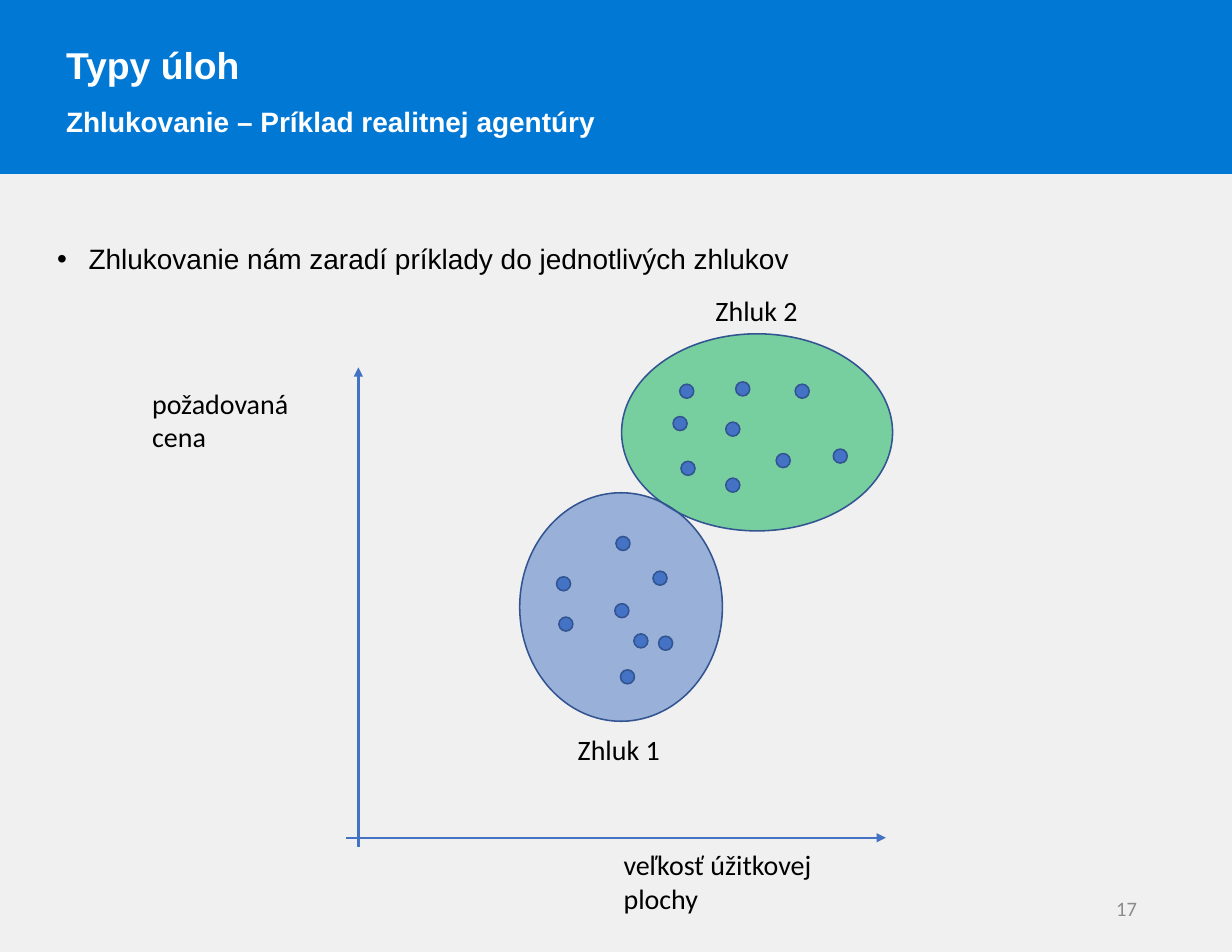
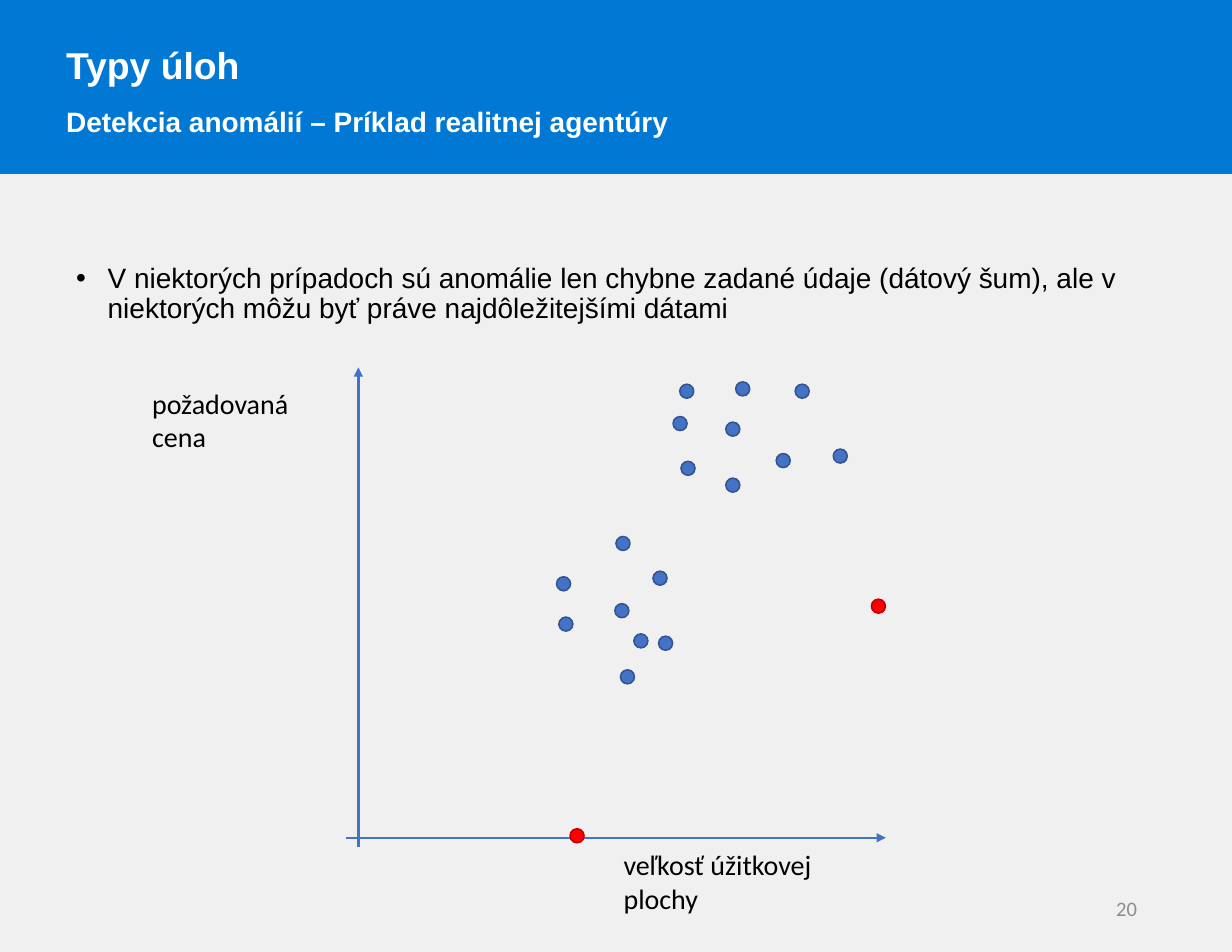
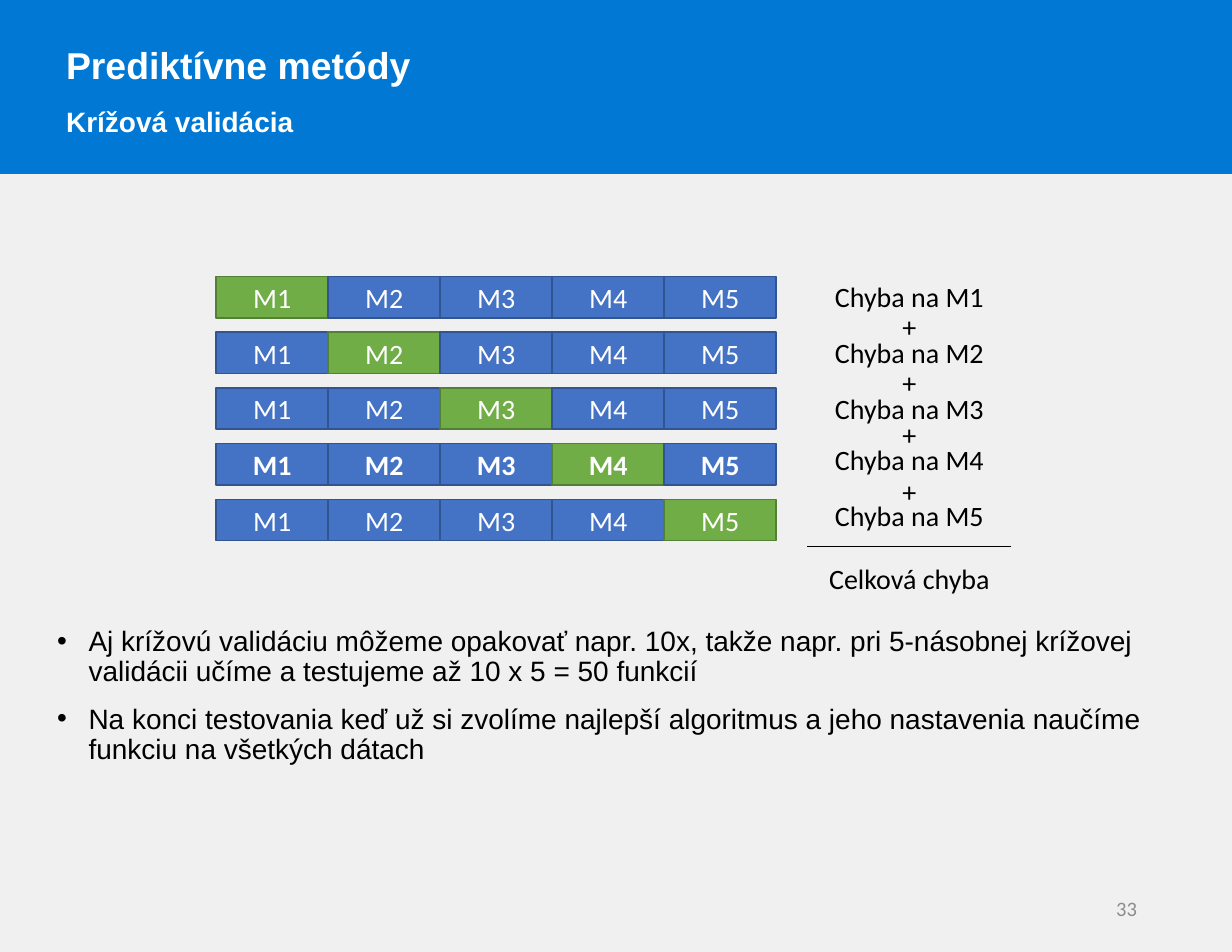
from lxml.etree import SubElement
from pptx import Presentation
from pptx.dml.color import RGBColor
from pptx.enum.shapes import MSO_CONNECTOR, MSO_SHAPE
from pptx.enum.text import MSO_ANCHOR, MSO_AUTO_SIZE, PP_ALIGN
from pptx.oxml.ns import qn
from pptx.util import Pt

COLORS = {
    "background": "F0F0F0", "band": "0078D4", "white": "FFFFFF",
    "black": "000000", "number": "8C8C8C",
    "blue": "4472C4", "blue_edge": "325491",
    "green": "70AD47", "green_edge": "538035",
    "cluster_green": "00B050", "red": "FF0000", "red_edge": "C00000",
}
WIDTH, HEIGHT = 792, 612
BODY_LEFT, BODY_WIDTH, BODY_BOTTOM = 29.5, 733, 567.4

SLIDES = [
    {"title": "Typy úloh", "subtitle": "Zhlukovanie – Príklad realitnej agentúry",
     "number": 17, "body": (29.5, 154.1, 413.3),
     "bullets": ["Zhlukovanie nám zaradí príklady do jednotlivých zhlukov"]},
    {"title": "Typy úloh", "subtitle": "Detekcia anomálií – Príklad realitnej agentúry",
     "number": 20, "body": (41.8, 166.3, 413.3),
     "bullets": ["V niektorých prípadoch sú anomálie len chybne zadané údaje (dátový šum), "
                 "ale v niektorých môžu byť práve najdôležitejšími dátami"]},
    {"title": "Prediktívne metódy", "subtitle": "Krížová validácia",
     "number": 33, "body": (29.5, 399.6, 167.8),
     "bullets": ["Aj krížovú validáciu môžeme opakovať napr. 10x, takže napr. pri 5-násobnej "
                 "krížovej validácii učíme a testujeme až 10 x 5 = 50 funkcií",
                 "Na konci testovania keď už si zvolíme najlepší algoritmus a jeho nastavenia "
                 "naučíme funkciu na všetkých dátach"]},
]

# Scatter diagram: top left corners of the dots
DOT_SIZE = 9
HOMES = [
    (357.8, 370.8), (359.3, 396.7), (395.3, 388.1), (423.4, 409), (407.5, 407.5),
    (419.8, 367.2), (398.9, 430.6), (396, 344.9),
    (437, 247), (473, 245.5), (432.7, 267.8), (437.8, 296.6), (466.6, 271.4),
    (466.6, 307.4), (499, 291.6), (511.2, 247), (535.7, 288.7),
]
ANOMALIES = [(560.2, 385.2), (366.5, 532.8)]
CLUSTERS = [
    ("Zhluk 2", (452.9, 185, 67.7, 28.8), (399.6, 214.6, 174.2, 126.7), "cluster_green"),
    ("Zhluk 1", (364.3, 467.3, 67.7, 28.8), (334.1, 316.8, 130.3, 146.9), "blue"),
]
AXES = [
    ("požadovaná cena", (90.7, 244.8, 125.3, 25), (230.4, 544.3), (230.4, 236.2)),
    ("veľkosť úžitkovej plochy", (393.8, 541.4, 166.3, 25), (222.5, 538.6), (569.5, 538.6)),
]

# Cross-validation diagram
FOLDS = ["M1", "M2", "M3", "M4", "M5"]
BOLD_FOLD = "M4"
FOLD_LEFT, FOLD_TOP, FOLD_WIDTH, FOLD_HEIGHT, FOLD_STEP = 139, 177.8, 72, 26.6, 35.8
ERROR_TOPS = [177.1, 213.1, 249.1, 282.2, 318.2]
PLUS_TOPS = [196.6, 232.6, 265.7, 302.4]
ERROR_CENTER, ERROR_WIDTH, TOTAL_WIDTH = 584.6, 117.4, 131
TOTAL_RULE, TOTAL_TOP = 351.4, 358.6


def rgb(name):
    return RGBColor.from_string(COLORS[name])


def place(shape, left, top, width, height):
    shape.left, shape.top, shape.width, shape.height = map(Pt, (left, top, width, height))


def style(paragraph, size=18, color="black", font="Calibri", bold=False):
    paragraph.font.size = Pt(size)
    paragraph.font.name = font
    paragraph.font.bold = bold
    paragraph.font.color.rgb = rgb(color)


def add_figure(slide, kind, box, fill, edge, opacity=None):
    figure = slide.shapes.add_shape(kind, *map(Pt, box))
    figure.shadow.inherit = False
    figure.fill.solid()
    figure.fill.fore_color.rgb = rgb(fill)
    figure.line.color.rgb = rgb(edge)
    figure.line.width = Pt(1)
    if opacity:
        color = figure._element.spPr.find(f"{qn('a:solidFill')}/{qn('a:srgbClr')}")
        SubElement(color, qn("a:alpha"), val=str(opacity * 1000))
    return figure


def add_label(slide, text, box, align=PP_ALIGN.LEFT, anchor=MSO_ANCHOR.TOP, wrap=True, **font):
    frame = slide.shapes.add_textbox(*map(Pt, box)).text_frame
    frame.word_wrap = wrap
    frame.vertical_anchor = anchor
    paragraph = frame.paragraphs[0]
    paragraph.text = text
    paragraph.alignment = align
    style(paragraph, **font)


def add_line(slide, start, end, color, width, arrow=False):
    line = slide.shapes.add_connector(MSO_CONNECTOR.STRAIGHT, *map(Pt, start + end))
    line.line.color.rgb = rgb(color)
    line.line.width = Pt(width)
    properties = line._element.spPr
    if arrow:
        SubElement(properties.find(qn("a:ln")), qn("a:tailEnd"), type="triangle")
    SubElement(properties, qn("a:effectLst"))


def fill_title(slide, title, subtitle):
    place(slide.shapes.title, 35.3, 9.4, 733, 79.9)
    frame = slide.shapes.title.text_frame
    frame.text = f"{title}\n{subtitle}"
    frame.auto_size = MSO_AUTO_SIZE.NONE
    frame.vertical_anchor = MSO_ANCHOR.TOP
    for paragraph, size in zip(frame.paragraphs, (24, 18)):
        paragraph.alignment = PP_ALIGN.LEFT
        paragraph.line_spacing = 1.5
        paragraph.space_before = Pt(0)
        style(paragraph, size, "white", "Arial", bold=True)


def fill_body(slide, bullets, left, top, height):
    body = slide.placeholders[1]
    place(body, left, top, BODY_WIDTH, height)
    frame = body.text_frame
    frame.text = "\n".join(bullets)
    frame.auto_size = MSO_AUTO_SIZE.NONE
    for index, paragraph in enumerate(frame.paragraphs):
        paragraph.line_spacing = 0.9
        paragraph.space_before = Pt(11 if index else 0)
        properties = paragraph._p.get_or_add_pPr()
        properties.set("marL", str(Pt(20.2)))
        properties.set("indent", str(Pt(-20.2)))
        SubElement(properties, qn("a:buFont"), typeface="Arial")
        SubElement(properties, qn("a:buChar"), char="•")
        style(paragraph, font="Arial")


def add_slide(prs, content):
    slide = prs.slides.add_slide(prs.slide_layouts[1])
    band = add_figure(slide, MSO_SHAPE.RECTANGLE, (0, 0, WIDTH, 111.6), "band", "band")
    slide.shapes._spTree.insert(2, band._element)  # behind the title
    fill_title(slide, content["title"], content["subtitle"])
    fill_body(slide, content["bullets"], *content["body"])
    add_label(slide, str(content["number"]), (559.4, 567.4, 178.6, 32.4),
              PP_ALIGN.RIGHT, MSO_ANCHOR.MIDDLE, size=13.2, color="number")
    return slide


def add_dots(slide, corners, fill, edge):
    for corner in corners:
        add_figure(slide, MSO_SHAPE.OVAL, corner + (DOT_SIZE, DOT_SIZE), fill, edge)


def draw_scatter(slide):
    for text, box, start, end in AXES:
        add_line(slide, start, end, "blue", 1.5, arrow=True)
        add_label(slide, text, box)
    add_dots(slide, HOMES, "blue", "blue_edge")


def draw_clusters(slide):
    for text, label_box, area, fill in CLUSTERS:
        add_figure(slide, MSO_SHAPE.OVAL, area, fill, "blue_edge", opacity=50)
        add_label(slide, text, label_box, wrap=False)


def draw_folds(slide):
    for row, tested in enumerate(FOLDS):
        for column, fold in enumerate(FOLDS):
            color = "green" if fold == tested else "blue"
            box = (FOLD_LEFT + column * FOLD_WIDTH, FOLD_TOP + row * FOLD_STEP,
                   FOLD_WIDTH, FOLD_HEIGHT)
            cell = add_figure(slide, MSO_SHAPE.RECTANGLE, box, color, f"{color}_edge")
            cell.text_frame.vertical_anchor = MSO_ANCHOR.MIDDLE
            paragraph = cell.text_frame.paragraphs[0]
            paragraph.text = fold
            paragraph.alignment = PP_ALIGN.CENTER
            style(paragraph, color="white", bold=tested == BOLD_FOLD)


def draw_error_sum(slide):
    terms = [(f"Chyba na {fold}", top, ERROR_WIDTH) for fold, top in zip(FOLDS, ERROR_TOPS)]
    terms += [("+", top, ERROR_WIDTH) for top in PLUS_TOPS]
    terms.append(("Celková chyba", TOTAL_TOP, TOTAL_WIDTH))
    for text, top, width in terms:
        add_label(slide, text, (ERROR_CENTER - width / 2, top, width, FOLD_HEIGHT),
                  PP_ALIGN.CENTER, MSO_ANCHOR.MIDDLE)
    half = TOTAL_WIDTH / 2
    add_line(slide, (ERROR_CENTER + half, TOTAL_RULE), (ERROR_CENTER - half, TOTAL_RULE),
             "black", 0.5)


def main():
    prs = Presentation()
    prs.slide_width, prs.slide_height = Pt(WIDTH), Pt(HEIGHT)
    background = prs.slide_master.background.fill
    background.solid()
    background.fore_color.rgb = rgb("background")

    clustering, anomalies, validation = [add_slide(prs, content) for content in SLIDES]
    draw_clusters(clustering)
    draw_scatter(clustering)
    draw_scatter(anomalies)
    add_dots(anomalies, ANOMALIES, "red", "red_edge")
    draw_folds(validation)
    draw_error_sum(validation)
    prs.save("out.pptx")


if __name__ == "__main__":
    main()
